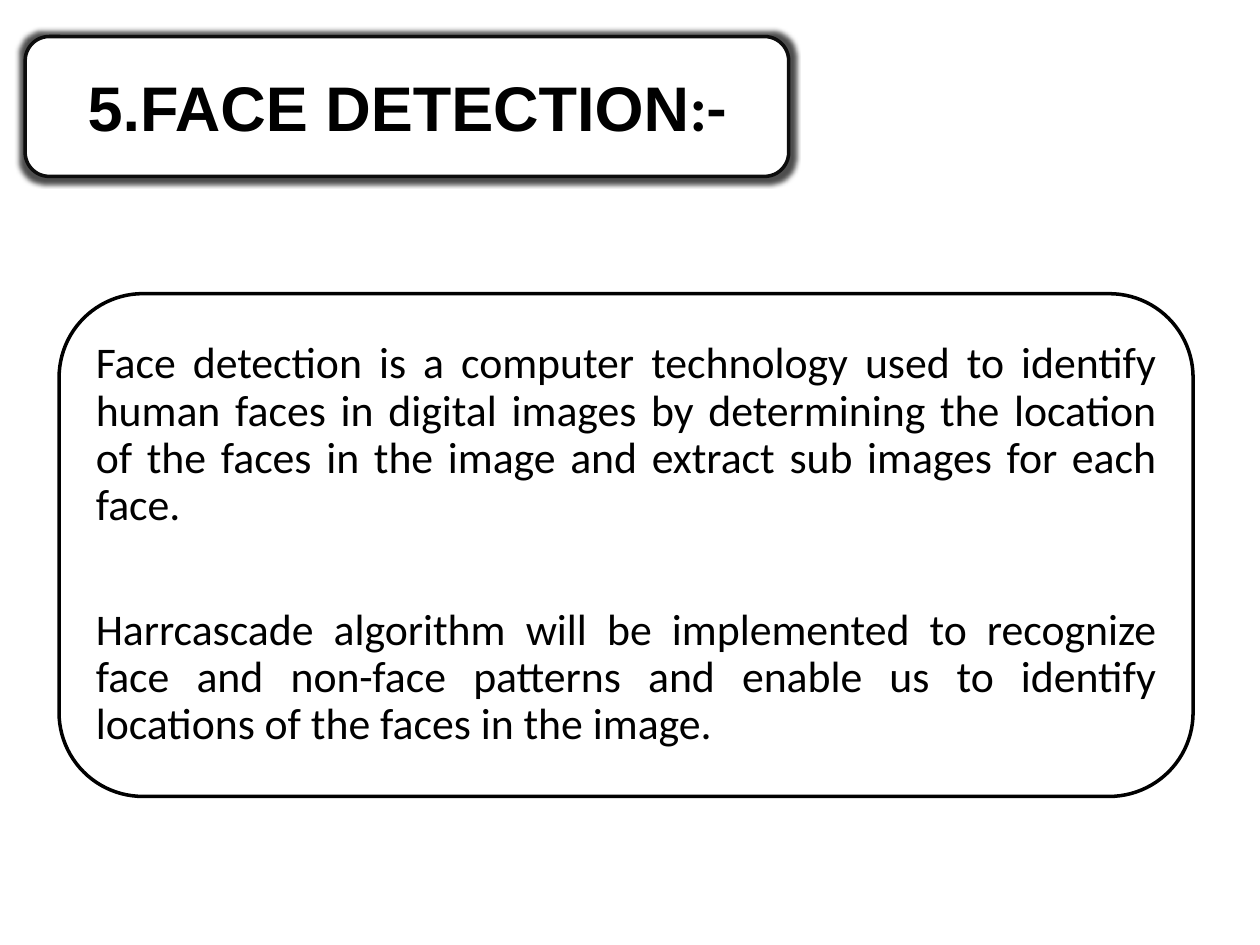
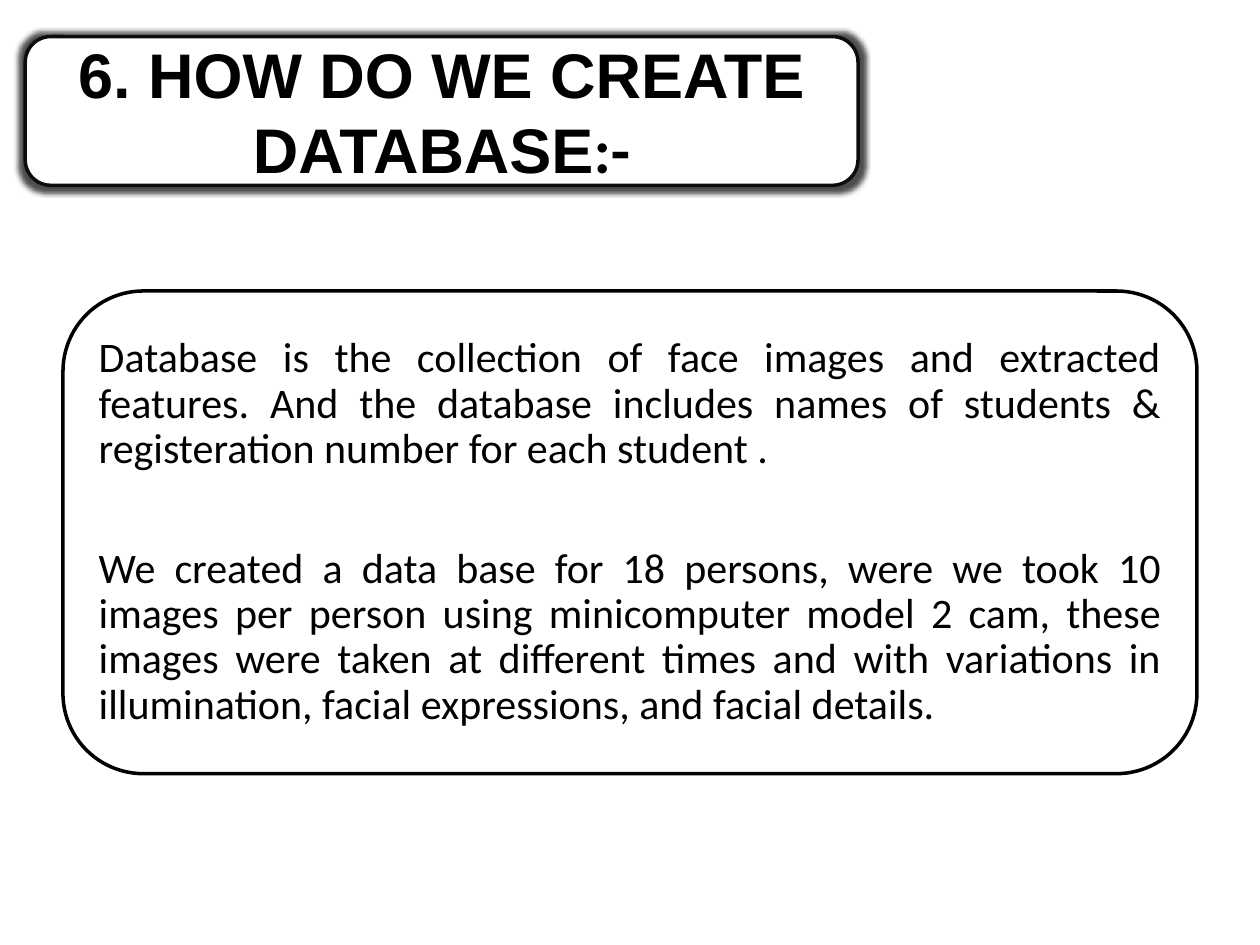
from lxml.etree import SubElement
from pptx import Presentation
from pptx.dml.color import RGBColor
from pptx.enum.shapes import MSO_SHAPE as Preset
from pptx.enum.text import MSO_ANCHOR as Anchor, PP_ALIGN as Align
from pptx.oxml.ns import qn
from pptx.util import Pt

BLACK = RGBColor(0x00, 0x00, 0x00)
NEAR_BLACK = RGBColor(0x0D, 0x0D, 0x0D)
WHITE = RGBColor(0xFF, 0xFF, 0xFF)

TITLE_FONT, BODY_FONT = "Arial", "Calibri"
TITLE_SIZE = 36
PANEL_WIDTH = 648
PANEL_RADIUS = 0.1667
TITLE_RADIUS = 0.172
PARAGRAPH_GAP = 1.77  # in multiples of the text size

SLIDES = [
    {
        "title": "5.FACE DETECTION",
        "title_size": (436.3, 79.9),
        "panel": (33.8, 167.8, 287.3),
        "text_size": 25,
        "paragraphs": [
            "Face detection is a computer technology used to identify human faces in "
            "digital images by determining the location of the faces in the image and "
            "extract sub images for each face.",
            "Harrcascade algorithm will be implemented to recognize face and non-face "
            "patterns and enable us to identify locations of the faces in the image.",
        ],
    },
    {
        "title": "6. HOW DO WE CREATE DATABASE",
        "title_size": (475.9, 85),
        "panel": (36, 166.3, 275.8),
        "text_size": 24,
        "paragraphs": [
            "Database is the collection of face images and extracted features. And the "
            "database includes names of students & registeration number for each "
            "student .",
            "We created a data base for 18 persons, were we took 10 images per person "
            "using minicomputer model 2 cam, these images were taken at different times "
            "and with variations in illumination, facial expressions, and facial "
            "details.",
        ],
    },
]


class SlideBuilder:
    def __init__(self, deck):
        self.deck = deck
        self.slide = None

    def new_slide(self):
        self.slide = self.deck.slides.add_slide(self.deck.slide_layouts[6])

    def rounded_box(self, left, top, width, height, radius, line_color):
        box = self.slide.shapes.add_shape(
            Preset.ROUNDED_RECTANGLE, Pt(left), Pt(top), Pt(width), Pt(height))
        box.adjustments[0] = radius
        box.fill.solid()
        box.fill.fore_color.rgb = WHITE
        box.line.color.rgb = line_color
        box.line.width = Pt(2)
        box.shadow.inherit = False
        return box

    def add_glow(self, box):
        effects = box._element.spPr.find(qn("a:effectLst"))
        glow = SubElement(effects, qn("a:glow"), rad=str(Pt(6)))
        color = SubElement(glow, qn("a:srgbClr"), val=str(BLACK))
        SubElement(color, qn("a:alpha"), val="70000")

    def style_span(self, span, font, size, bold=False):
        span.font.name = font
        span.font.size = Pt(size)
        span.font.bold = bold
        span.font.color.rgb = BLACK

    def title(self, text, width, height):
        box = self.rounded_box(14.4, 20.9, width, height, TITLE_RADIUS, NEAR_BLACK)
        self.add_glow(box)
        frame = box.text_frame
        frame.word_wrap = True
        frame.vertical_anchor = Anchor.MIDDLE
        para = frame.paragraphs[0]
        para.alignment = Align.CENTER
        for words, font in ((text, TITLE_FONT), (":-", BODY_FONT)):
            span = para.add_run()
            span.text = words
            self.style_span(span, font, TITLE_SIZE, bold=True)

    def text_panel(self, left, top, height, paragraphs, size):
        """Draw the outlined panel and the justified text inset from its corners."""
        self.rounded_box(left, top, PANEL_WIDTH, height, PANEL_RADIUS, BLACK)
        inset = height * PANEL_RADIUS * 0.29
        box = self.slide.shapes.add_textbox(
            Pt(left + inset), Pt(top + inset),
            Pt(PANEL_WIDTH - 2 * inset), Pt(height - 2 * inset))
        frame = box.text_frame
        frame.word_wrap = True
        frame.vertical_anchor = Anchor.MIDDLE
        frame.margin_left = frame.margin_right = Pt(7.2)
        frame.margin_top = frame.margin_bottom = Pt(7.2)
        frame.text = "\n".join(paragraphs)
        for index, para in enumerate(frame.paragraphs):
            para.alignment = Align.JUSTIFY
            para.line_spacing = 0.9
            if index:
                para.space_before = Pt(size * PARAGRAPH_GAP)
            self.style_span(para.runs[0], BODY_FONT, size)


def main():
    deck = Presentation()
    deck.slide_width, deck.slide_height = Pt(720), Pt(540)
    builder = SlideBuilder(deck)
    for content in SLIDES:
        builder.new_slide()
        builder.text_panel(*content["panel"], content["paragraphs"], content["text_size"])
        builder.title(content["title"], *content["title_size"])
    deck.save("out.pptx")


if __name__ == "__main__":
    main()
